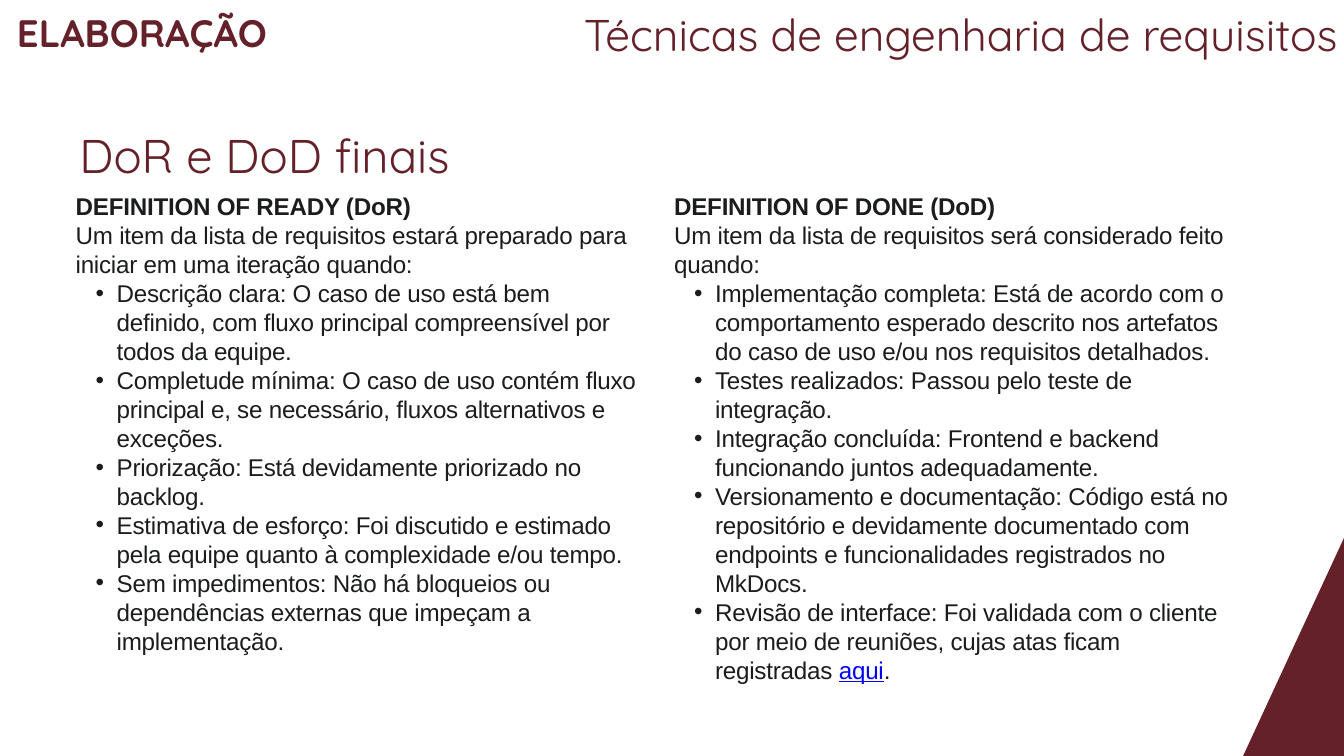
from lxml import etree
from pptx import Presentation
from pptx.dml.color import RGBColor
from pptx.enum.text import PP_ALIGN
from pptx.oxml.ns import qn
from pptx.util import Cm, Pt

LEFT, JUSTIFY = PP_ALIGN.LEFT, PP_ALIGN.JUSTIFY
WINE, INK, LINK = "65212A", "1A1D1C", "0000FF"

presentation = Presentation()
presentation.slide_width, presentation.slide_height = Cm(50.8), Cm(28.58)
slide = presentation.slides.add_slide(presentation.slide_layouts[6])


def add_frame(left, top, width, height):
    frame = slide.shapes.add_textbox(Cm(left), Cm(top), Cm(width), Cm(height)).text_frame
    frame.word_wrap = True
    frame.margin_left = frame.margin_top = frame.margin_right = frame.margin_bottom = 0
    return frame


def write(text, paragraph, font="Arial", size=25.9, color=INK, bold=False,
          underline=False, spacing=-25, leading=31.05, align=LEFT):
    paragraph.alignment = align
    paragraph.line_spacing = Pt(leading)
    run = paragraph.add_run()
    run.text = text
    run.font.name, run.font.size = font, Pt(size)
    run.font.bold, run.font.underline = bold, underline
    run.font.color.rgb = RGBColor.from_string(color)
    run.font._element.set("spc", str(spacing))


band_left, band_top, band_right, band_bottom = Cm(26.87), Cm(15.57), Cm(91.59), Cm(35.05)
band_path = slide.shapes.build_freeform(band_left, band_top)
band_path.add_line_segments(
    [(band_right, band_top), (band_right, band_bottom), (band_left, band_bottom)], close=True)
band = band_path.convert_to_shape()
band.rotation = 294.83
band.shadow.inherit = False
band.fill.solid()
band.fill.fore_color.rgb = RGBColor.from_string(WINE)
band.line.fill.background()

headings = [
    ("Técnicas de engenharia de requisitos", (22.07, 0.28, 28.73, 2.06),
     dict(size=47.6, leading=57.1)),
    ("DoR e DoD finais", (3, 4.78, 28.73, 2.13), dict(size=50.6, leading=60.7)),
    ("ELABORAÇÃO", (0.64, 0.33, 10.74, 1.75),
     dict(size=41, leading=49.3, bold=True, align=JUSTIFY)),
]
for text, box, style in headings:
    write(text, add_frame(*box).paragraphs[0], font="Quicksand", color=WINE, spacing=0, **style)

definitions = [
    (2.86, "DEFINITION OF READY (DoR)",
     "Um item da lista de requisitos estará preparado para iniciar em uma iteração quando:",
     ["Descrição clara: O caso de uso está bem definido, com fluxo principal compreensível "
      "por todos da equipe.",
      "Completude mínima: O caso de uso contém fluxo principal e, se necessário, fluxos "
      "alternativos e exceções.",
      "Priorização: Está devidamente priorizado no backlog.",
      "Estimativa de esforço: Foi discutido e estimado pela equipe quanto à complexidade "
      "e/ou tempo.",
      "Sem impedimentos: Não há bloqueios ou dependências externas que impeçam a "
      "implementação."]),
    (25.48, "DEFINITION OF DONE (DoD)",
     "Um item da lista de requisitos será considerado feito quando:",
     ["Implementação completa: Está de acordo com o comportamento esperado descrito nos "
      "artefatos do caso de uso e/ou nos requisitos detalhados.",
      "Testes realizados: Passou pelo teste de integração.",
      "Integração concluída: Frontend e backend funcionando juntos adequadamente.",
      "Versionamento e documentação: Código está no repositório e devidamente documentado "
      "com endpoints e funcionalidades registrados no MkDocs.",
      "Revisão de interface: Foi validada com o cliente por meio de reuniões, cujas atas "
      "ficam registradas "]),
]
for left, title, intro, criteria in definitions:
    definition = add_frame(left, 7.24, 21.36, 20.62)
    write(title, definition.paragraphs[0], bold=True)
    write(intro, definition.add_paragraph())
    for criterion in criteria:
        bullet = definition.add_paragraph()
        bullet.level = 1
        write(criterion, bullet)
        properties = bullet._p.get_or_add_pPr()
        properties.set("marL", str(Cm(1.55)))
        properties.set("indent", str(Cm(-0.79)))
        etree.SubElement(properties, qn("a:buFont"), typeface="Arial")
        etree.SubElement(properties, qn("a:buChar"), char="•")

write("aqui", bullet, color=LINK, underline=True)
write(".", bullet)

presentation.save("out.pptx")
